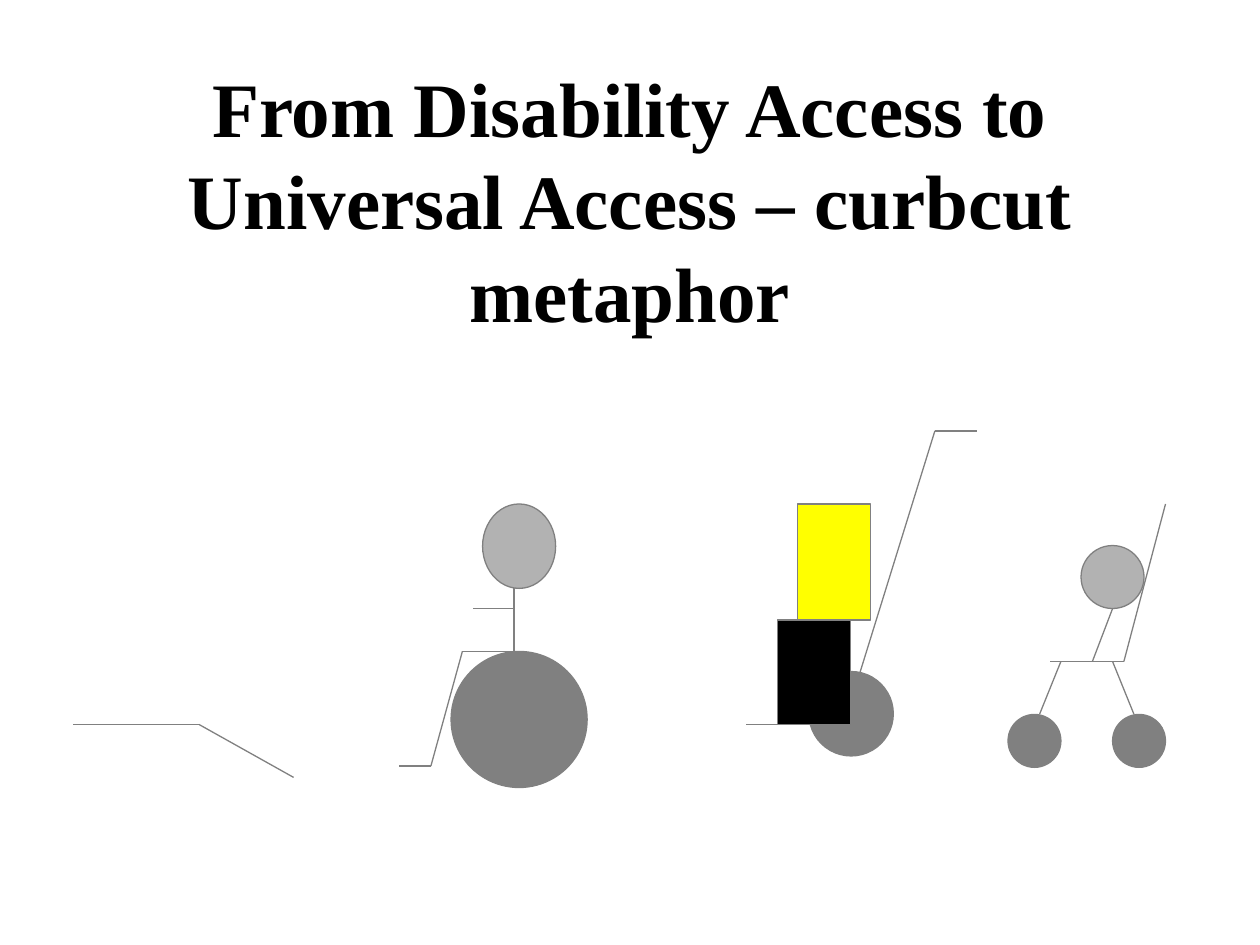
from lxml.etree import SubElement
from pptx import Presentation
from pptx.dml.color import RGBColor
from pptx.enum.shapes import MSO_CONNECTOR, MSO_SHAPE
from pptx.enum.text import MSO_ANCHOR, PP_ALIGN
from pptx.oxml.ns import qn
from pptx.util import Inches, Pt

# Content
TITLE = "From Disability Access to Universal Access – curbcut metaphor"

# Each figure: paths of (x, y) points, then solids of (kind, left, top, width, height, colour)
FIGURES = {
    "curb cut": {
        "paths": [[(0.58, 5.75), (1.58, 5.75), (2.33, 6.17)]],
        "solids": [],
    },
    "wheelchair": {
        "paths": [
            [(4.08, 5.17), (3.67, 5.17), (3.42, 6.08), (3.17, 6.08)],  # seat and footrest
            [(4.08, 4.67), (4.08, 5.17)],  # back
            [(4.08, 4.83), (3.75, 4.83)],  # arm
        ],
        "solids": [
            ("ellipse", 3.58, 5.17, 1.08, 1.08, "wheel"),
            ("ellipse", 3.83, 4, 0.58, 0.67, "head"),
        ],
    },
    "hand truck": {
        "paths": [
            [(7.75, 3.42), (7.42, 3.42), (6.75, 5.58)],  # handle
            [(6.42, 5.75), (5.92, 5.75)],  # toe plate
        ],
        "solids": [
            ("ellipse", 6.42, 5.33, 0.67, 0.67, "wheel"),
            ("box", 6.17, 4.92, 0.58, 0.83, "lower box"),
            ("box", 6.33, 4, 0.58, 0.92, "upper box"),
        ],
    },
    "stroller": {
        "paths": [
            [(9.25, 4), (8.92, 5.25), (8.33, 5.25)],  # handle and seat
            [(8.83, 5.25), (9, 5.67)],  # rear leg
            [(8.42, 5.25), (8.25, 5.67)],  # front leg
            [(8.83, 4.83), (8.67, 5.25)],  # child's body
        ],
        "solids": [
            ("ellipse", 8.83, 5.67, 0.42, 0.42, "wheel"),
            ("ellipse", 8, 5.67, 0.42, 0.42, "wheel"),
            ("ellipse", 8.58, 4.33, 0.5, 0.5, "head"),
        ],
    },
}

THEME = {
    "font": "Times New Roman",
    "title size": Pt(44),
    "line width": Pt(0.75),
    "text": RGBColor(0x00, 0x00, 0x00),
    "line": RGBColor(0x80, 0x80, 0x80),
    "wheel": RGBColor(0x80, 0x80, 0x80),
    "head": RGBColor(0xB2, 0xB2, 0xB2),
    "lower box": RGBColor(0x00, 0x00, 0x00),
    "upper box": RGBColor(0xFF, 0xFF, 0x00),
}
KINDS = {"ellipse": MSO_SHAPE.OVAL, "box": MSO_SHAPE.RECTANGLE}


def style_line(line):
    line.color.rgb = THEME["line"]
    line.width = THEME["line width"]


def add_title(page):
    box = page.shapes.add_textbox(Inches(0.5), Inches(0.83), Inches(9), Inches(1.5))
    frame = box.text_frame
    frame.word_wrap = True
    frame.vertical_anchor = MSO_ANCHOR.MIDDLE
    frame.text = TITLE
    para = frame.paragraphs[0]
    para.alignment = PP_ALIGN.CENTER
    font = para.runs[0].font
    font.name, font.size, font.bold = THEME["font"], THEME["title size"], True
    font.color.rgb = THEME["text"]


def add_path(page, points):
    for start, end in zip(points, points[1:]):
        ends = [Inches(value) for value in start + end]
        connector = page.shapes.add_connector(MSO_CONNECTOR.STRAIGHT, *ends)
        style_line(connector.line)
        SubElement(connector._element.spPr, qn("a:effectLst"))


def add_solid(page, kind, left, top, width, height, colour):
    place = [Inches(value) for value in (left, top, width, height)]
    shape = page.shapes.add_shape(KINDS[kind], *place)
    shape.shadow.inherit = False
    shape.fill.solid()
    shape.fill.fore_color.rgb = THEME[colour]
    style_line(shape.line)


def main():
    deck = Presentation()
    deck.slide_width, deck.slide_height = Inches(10), Inches(7.5)
    page = deck.slides.add_slide(deck.slide_layouts[6])
    add_title(page)
    # Lines go behind the wheels, heads and boxes of each figure
    for figure in FIGURES.values():
        for points in figure["paths"]:
            add_path(page, points)
        for solid in figure["solids"]:
            add_solid(page, *solid)
    deck.save("out.pptx")


if __name__ == "__main__":
    main()
